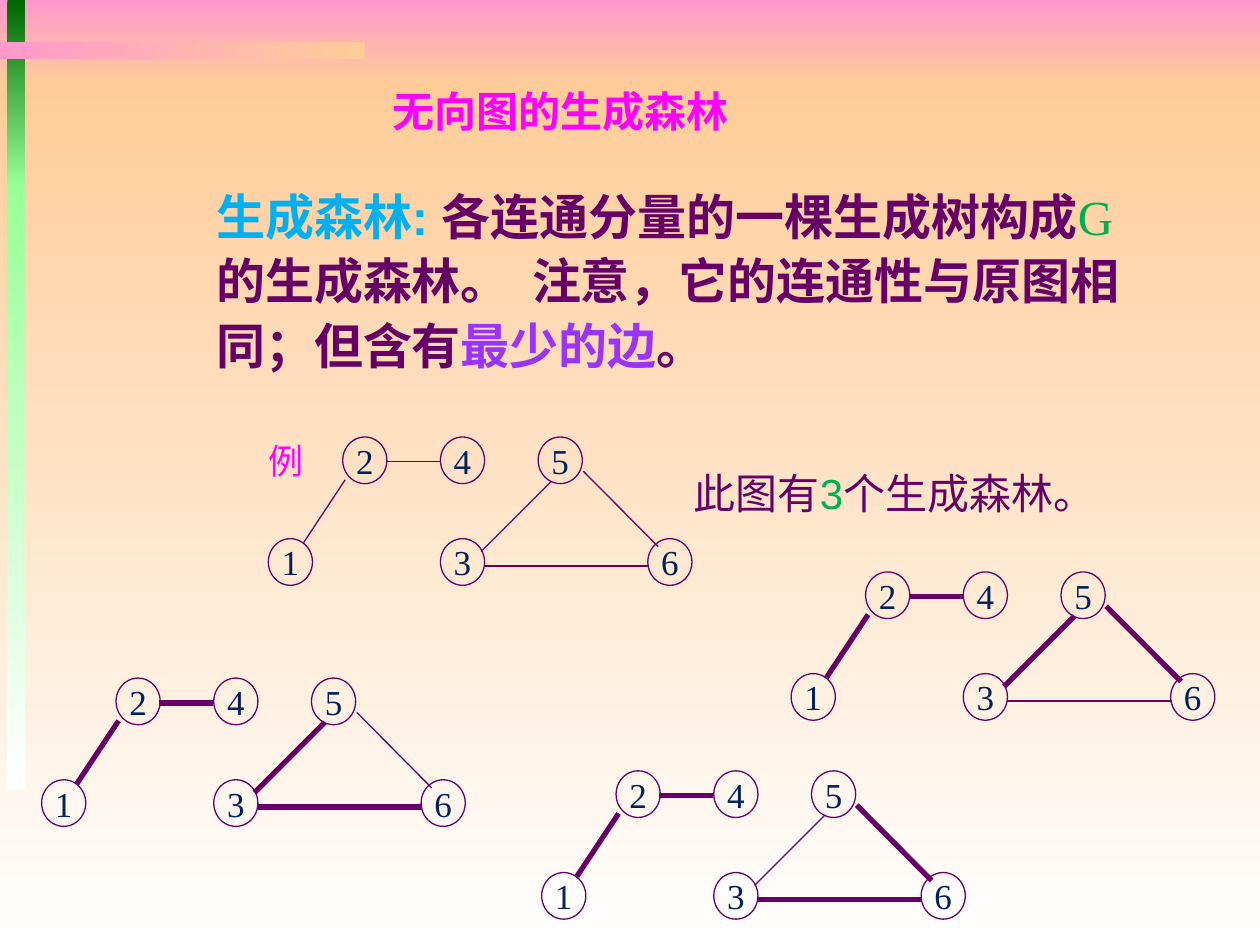
from dataclasses import dataclass

from lxml.etree import SubElement
from pptx import Presentation
from pptx.dml.color import RGBColor
from pptx.enum.shapes import MSO_CONNECTOR as Connector, MSO_SHAPE as Shape
from pptx.enum.text import MSO_ANCHOR as Anchor, MSO_AUTO_SIZE as AutoSize, PP_ALIGN as Align
from pptx.oxml.ns import qn
from pptx.util import Cm, Pt


@dataclass(frozen=True)
class Theme:
    plum: str = "660066"
    magenta: str = "FF00FF"
    cyan: str = "00B0F0"
    green: str = "00B050"
    violet: str = "9933FF"
    navy: str = "002060"
    pink: str = "FF99CC"
    peach: str = "FFCC99"
    white: str = "FFFFFF"
    forest: str = "006600"
    mint: str = "99FF99"
    serif: str = "Times New Roman"
    sans: str = "Arial"
    body_size: float = 28
    title_size: float = 24
    label_size: float = 20
    thin: float = 0.75
    thick: float = 3


THEME = Theme()

# All lengths are centimetres; graph parts are relative to the graph's corner.
NODE_WIDTH, NODE_HEIGHT = 0.89, 0.94
NODES = {
    "2": (1.5, 0), "4": (3.47, 0), "5": (5.44, 0),
    "1": (0, 2.05), "3": (3.47, 2.05), "6": (7.65, 2.05),
}
EDGES = {
    "2-4": (2.37, 0.5, 3.46, 0.5),
    "6-3": (7.67, 2.6, 4.34, 2.6),
    "3-5": (4.29, 2.31, 5.71, 0.89),
    "5-6": (6.35, 0.69, 7.86, 2.21),
    "1-2": (0.71, 2.13, 1.55, 0.86),
}


def add_text(paragraph, text, *, size, color, font=THEME.sans, bold=False):
    run = paragraph.add_run()
    run.text = text
    run.font.size = Pt(size)
    run.font.name = font
    run.font.bold = bold
    run.font.color.rgb = RGBColor.from_string(color)


class SlideBuilder:
    def __init__(self, slide, theme):
        self.slide = slide
        self.theme = theme

    def band(self, left, top, width, height, colors, angle=270):
        shape = self.slide.shapes.add_shape(
            Shape.RECTANGLE, Cm(left), Cm(top), Cm(width), Cm(height))
        shape.shadow.inherit = False
        shape.line.fill.background()
        shape.fill.gradient()
        shape.fill.gradient_angle = angle
        for stop, color in zip(shape.fill.gradient_stops, colors):
            stop.color.rgb = RGBColor.from_string(color)

    def text_box(self, left, top, width, height, runs, *, wrap=True,
                 align=None, anchor=Anchor.TOP, spacing=None):
        """Add one paragraph; runs are pairs of text and format."""
        box = self.slide.shapes.add_textbox(Cm(left), Cm(top), Cm(width), Cm(height))
        frame = box.text_frame
        frame.word_wrap = wrap
        frame.auto_size = AutoSize.SHAPE_TO_FIT_TEXT
        frame.vertical_anchor = anchor
        paragraph = frame.paragraphs[0]
        paragraph.alignment = align
        paragraph.line_spacing = spacing
        for text, style in runs:
            add_text(paragraph, text, **style)

    def node(self, shapes, label, left, top):
        shape = shapes.add_shape(
            Shape.OVAL, Cm(left), Cm(top), Cm(NODE_WIDTH), Cm(NODE_HEIGHT))
        shape.shadow.inherit = False
        shape.fill.background()
        shape.line.color.rgb = RGBColor.from_string(self.theme.plum)
        shape.line.width = Pt(self.theme.thin)
        frame = shape.text_frame
        frame.word_wrap = False
        frame.vertical_anchor = Anchor.MIDDLE
        paragraph = frame.paragraphs[0]
        paragraph.alignment = Align.CENTER
        add_text(paragraph, label, size=self.theme.label_size,
                 color=self.theme.navy, font=self.theme.serif)

    def edge(self, shapes, start_x, start_y, end_x, end_y, width):
        line = shapes.add_connector(
            Connector.STRAIGHT, Cm(start_x), Cm(start_y), Cm(end_x), Cm(end_y))
        line.line.color.rgb = RGBColor.from_string(self.theme.plum)
        line.line.width = Pt(width)
        SubElement(line._element.spPr, qn("a:effectLst"))

    def graph(self, left, top, forest=()):
        """Add the six-node graph with the forest's edges drawn thick."""
        shapes = self.slide.shapes.add_group_shape().shapes
        for label, (x, y) in NODES.items():
            self.node(shapes, label, left + x, top + y)
        for name, (x1, y1, x2, y2) in EDGES.items():
            width = self.theme.thick if name in forest else self.theme.thin
            self.edge(shapes, left + x1, top + y1, left + x2, top + y2, width)


def main():
    presentation = Presentation()
    presentation.slide_width, presentation.slide_height = Cm(25.4), Cm(19.05)
    slide = presentation.slides.add_slide(presentation.slide_layouts[6])
    builder = SlideBuilder(slide, THEME)

    builder.band(0, 0, 25.4, 1.7, (THEME.pink, THEME.peach))
    builder.band(0, 1.7, 25.4, 17.35, (THEME.peach, THEME.white))
    builder.band(0.15, 0, 0.36, 3.76, (THEME.forest, THEME.mint))
    builder.band(0.15, 3.71, 0.36, 12.22, (THEME.mint, THEME.white))
    builder.band(0, 0.85, 7.35, 0.35, (THEME.pink, THEME.peach), angle=0)

    title = dict(size=THEME.title_size, color=THEME.magenta, font=THEME.serif, bold=True)
    builder.text_box(7.67, 1.6, 7.39, 1.27, [("无向图的生成森林", title)], wrap=False)

    body = dict(size=THEME.body_size, color=THEME.plum, bold=True)
    builder.text_box(4.11, 3.51, 19.23, 4.09, [
        ("生成森林: ", body | dict(color=THEME.cyan)),
        ("各连通分量的一棵生成树构成", body),
        ("G", body | dict(color=THEME.green, font=THEME.serif, bold=False)),
        ("的生成森林。  注意，它的连通性与原图相同；但含有", body),
        ("最少的边", body | dict(color=THEME.violet)),
        ("。", body),
    ], spacing=1.1)

    example = dict(size=THEME.label_size, color=THEME.magenta, font=THEME.serif)
    builder.text_box(5.16, 8.74, 1.22, 1.09, [("例", example)], wrap=False,
                     align=Align.CENTER, anchor=Anchor.MIDDLE)

    note = dict(size=THEME.title_size, color=THEME.plum)
    builder.text_box(13.74, 9.3, 8.56, 1.27, [
        ("此图有", note),
        ("3", note | dict(color=THEME.green)),
        ("个生成森林。", note),
    ])

    builder.graph(5.41, 8.81)
    for left, top, dropped in ((0.84, 13.67, "5-6"),
                               (10.92, 15.54, "3-5"),
                               (15.95, 11.53, "6-3")):
        builder.graph(left, top, forest=EDGES.keys() - {dropped})

    presentation.save("out.pptx")


if __name__ == "__main__":
    main()
